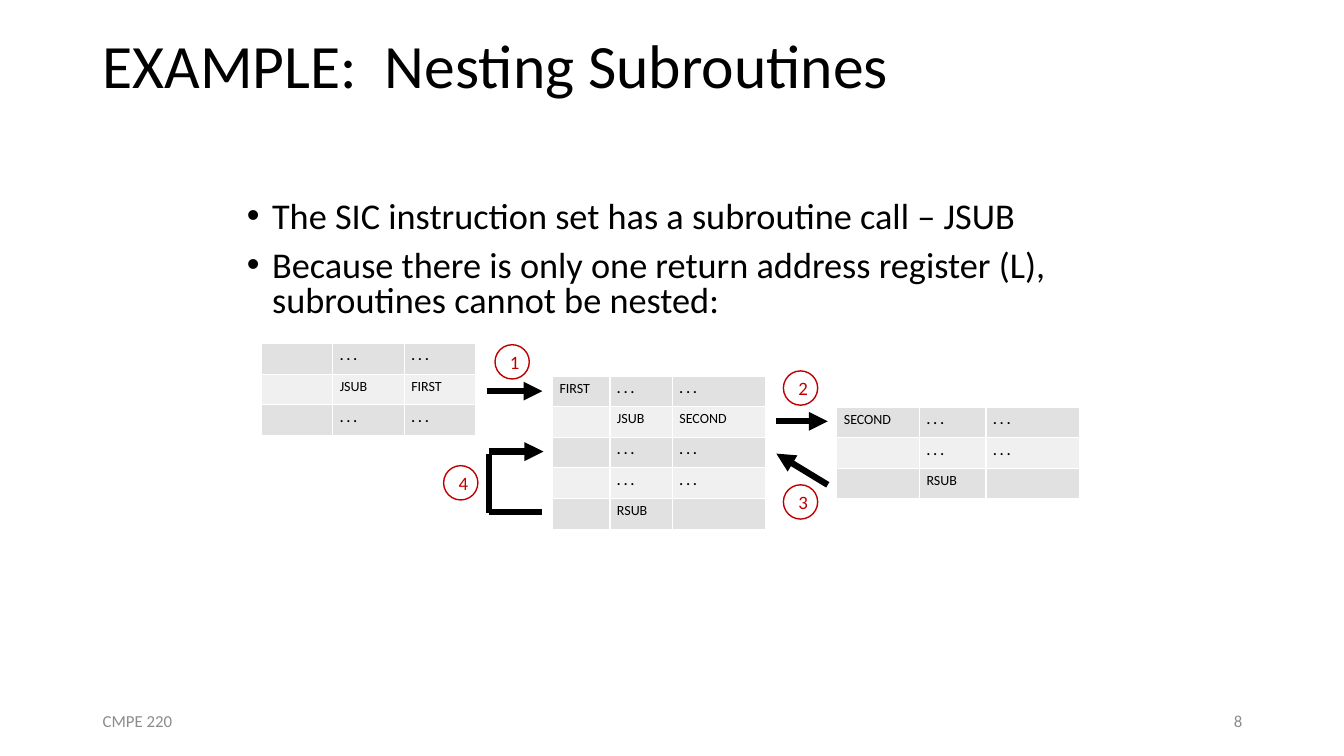
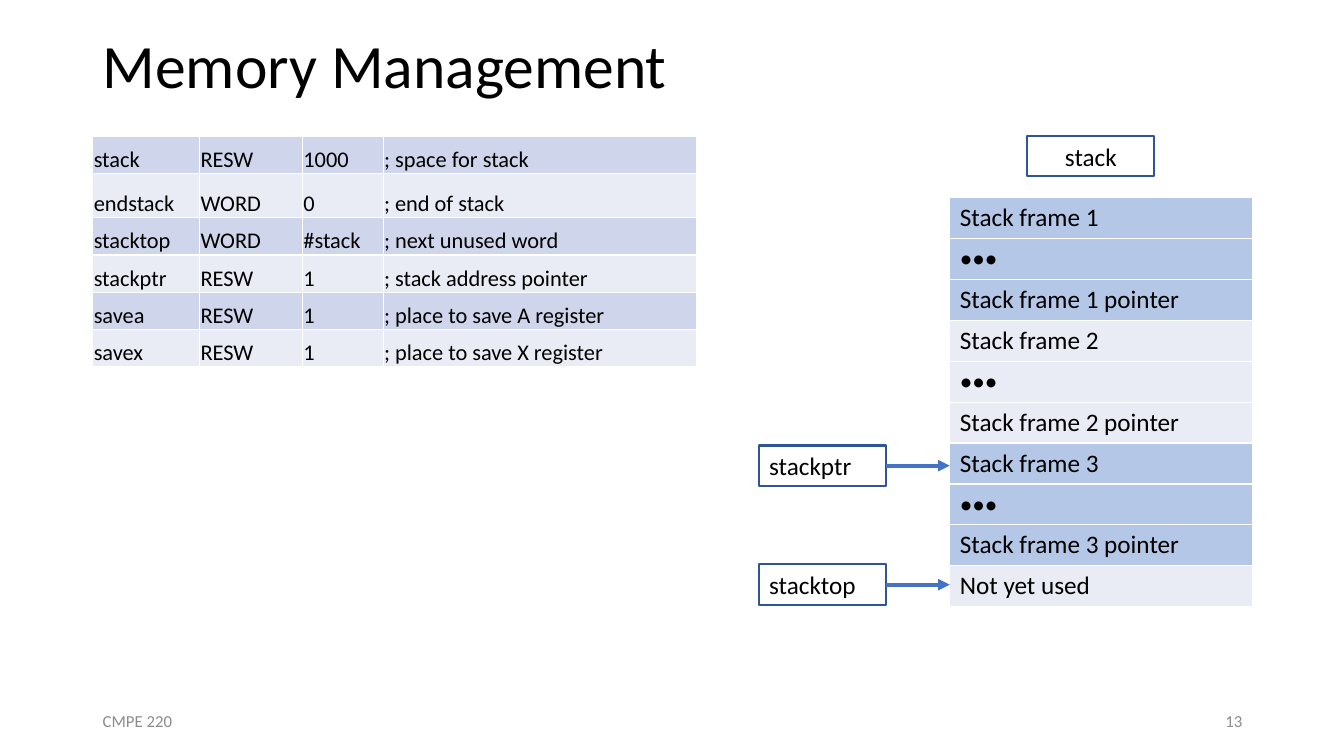
from dataclasses import dataclass
from typing import Any, NamedTuple, Optional

from lxml import etree
from pptx import Presentation
from pptx.dml.color import RGBColor
from pptx.enum.shapes import MSO_CONNECTOR, MSO_SHAPE
from pptx.enum.text import MSO_ANCHOR, PP_ALIGN
from pptx.oxml.ns import qn
from pptx.shapes.autoshape import Shape
from pptx.slide import Slide
from pptx.text.text import TextFrame
from pptx.util import Pt

EMU_PER_PX = 9144
SLIDE_WIDTH, SLIDE_HEIGHT = 1333, 750

STRAIGHT = MSO_CONNECTOR.STRAIGHT
ELLIPSE, RECTANGLE = MSO_SHAPE.OVAL, MSO_SHAPE.RECTANGLE
TOP, MIDDLE, BOTTOM = MSO_ANCHOR.TOP, MSO_ANCHOR.MIDDLE, MSO_ANCHOR.BOTTOM
LEFT, CENTER, RIGHT = PP_ALIGN.LEFT, PP_ALIGN.CENTER, PP_ALIGN.RIGHT
RIGHT_SIDE = 3

BLACK = RGBColor(0x00, 0x00, 0x00)
FOOTER_GRAY = RGBColor(0x8C, 0x8C, 0x8C)
STEP_RED = RGBColor(0xC0, 0x00, 0x00)
LABEL_BLUE = RGBColor(0x2F, 0x55, 0x97)
POINTER_BLUE = RGBColor(0x44, 0x72, 0xC4)
GRAY_BANDS = (RGBColor(0xE1, 0xE1, 0xE1), RGBColor(0xF0, 0xF0, 0xF0))
PALE_BLUE = RGBColor(0xE9, 0xEB, 0xF5)
DECLARATION_BANDS = (RGBColor(0xCF, 0xD5, 0xEA), PALE_BLUE)
FRAME_BANDS = (RGBColor(0xB4, 0xC7, 0xE7), PALE_BLUE)

DOTS = ". . ."
MARGINS = ("margin_left", "margin_top", "margin_right", "margin_bottom")


class Box(NamedTuple):
    left: int
    top: int
    width: int
    height: int


class TextStyle(NamedTuple):
    size: float
    color: RGBColor = BLACK
    align: PP_ALIGN = LEFT
    anchor: MSO_ANCHOR = TOP
    line_spacing: Optional[float] = None


@dataclass(frozen=True)
class Grid:
    left: int
    top: int
    height: int
    columns: tuple[int, ...]
    rows: tuple[tuple[str, ...], ...]
    bands: tuple[RGBColor, RGBColor]
    style: TextStyle
    insets: tuple[int, int, int, int]
    band_size: int = 1
    row_heights: tuple[int, ...] = ()


class Line(NamedTuple):
    x1: int
    y1: int
    x2: int
    y2: int
    arrow: bool = True


class Step(NamedTuple):
    number: str
    left: int
    top: int


class Label(NamedTuple):
    text: str
    left: int
    top: int
    align: PP_ALIGN = LEFT
    points_to: Optional[int] = None


TITLE = TextStyle(44, anchor=MIDDLE, line_spacing=0.9)
BODY = TextStyle(25.9, line_spacing=0.8)
COURSE = TextStyle(12, FOOTER_GRAY, anchor=MIDDLE)
PAGE = COURSE._replace(align=RIGHT)
STEP = TextStyle(13.5, STEP_RED, CENTER, MIDDLE)
CODE = TextStyle(10)
DECLARATION = TextStyle(16, anchor=BOTTOM)
STACK = TextStyle(18)

CODE_INSETS = (7, 4, 7, 4)
STACK_LEFT = 942

BULLETS = (
    "The SIC instruction set has a subroutine call – JSUB",
    "Because there is only one return address register (L), "
    "subroutines cannot be nested:",
)

ROUTINES = (
    Grid(259, 341, 91, (71, 71, 71), (
        ("", DOTS, DOTS),
        ("", "JSUB", "FIRST"),
        ("", DOTS, DOTS),
    ), GRAY_BANDS, CODE, CODE_INSETS),
    Grid(548, 373, 152, (57, 62, 92), (
        ("FIRST", DOTS, DOTS),
        ("", "JSUB", "SECOND"),
        ("", DOTS, DOTS),
        ("", DOTS, DOTS),
        ("", "RSUB", ""),
    ), GRAY_BANDS, CODE, CODE_INSETS),
    Grid(830, 404, 91, (82, 66, 93), (
        ("SECOND", DOTS, DOTS),
        ("", DOTS, DOTS),
        ("", "RSUB", ""),
    ), GRAY_BANDS, CODE, CODE_INSETS),
)

CALL_LINES = (
    Line(483, 388, 538, 388),
    Line(770, 418, 821, 418),
    Line(821, 481, 770, 450),
    Line(485, 448, 539, 448),
    Line(485, 508, 538, 508, arrow=False),
    Line(485, 450, 485, 509, arrow=False),
)

STEPS = (
    Step("1", 491, 342),
    Step("2", 777, 368),
    Step("3", 777, 481),
    Step("4", 440, 462),
)

DECLARATIONS = Grid(92, 135, 229, (106, 102, 80, 311), (
    ("stack", "RESW", "1000", "; space for stack"),
    ("endstack", "WORD", "0", "; end of stack"),
    ("stacktop", "WORD", "#stack", "; next unused word"),
    ("stackptr", "RESW", "1", "; stack address pointer"),
    ("savea", "RESW", "1", "; place to save A register"),
    ("savex", "RESW", "1", "; place to save X register"),
), DECLARATION_BANDS, DECLARATION, (1, 1, 1, 0), row_heights=(37, 44, 37, 37, 37, 37))

FRAME_ROWS = tuple(
    (text,)
    for frame in (1, 2, 3)
    for text in (f"Stack frame {frame}", "•••", f"Stack frame {frame} pointer")
)
STACK_FRAMES = Grid(STACK_LEFT, 196, 406, (300,), FRAME_ROWS + (("Not yet used",),),
                    FRAME_BANDS, STACK, (10, 5, 10, 5), band_size=3)

LABELS = (
    Label("stack", 1019, 135, CENTER),
    Label("stackptr", 753, 442, points_to=STACK_LEFT),
    Label("stacktop", 753, 560, points_to=STACK_LEFT),
)


def px(length: float) -> int:
    return round(length * EMU_PER_PX)


def apply(target: Any, values: dict[str, Any]) -> None:
    for name, value in values.items():
        setattr(target, name, value)


def write(frame: TextFrame, texts: tuple[str, ...], style: TextStyle,
          bold: bool = False, bulleted: bool = False) -> None:
    for index, text in enumerate(texts):
        paragraph = frame.add_paragraph() if index else frame.paragraphs[0]
        if bulleted:
            properties = paragraph._p.get_or_add_pPr()
            properties.set("marL", str(px(25)))
            properties.set("indent", str(px(-25)))
            etree.SubElement(properties, qn("a:buFont"), typeface="Arial")
            etree.SubElement(properties, qn("a:buChar"), char="•")
        apply(paragraph, {"alignment": style.align, "line_spacing": style.line_spacing})
        if index:
            paragraph.space_before = Pt(10)
        if text:
            run = paragraph.add_run()
            run.text = text
            apply(run.font, {"name": "Calibri", "size": Pt(style.size), "bold": bold})
            run.font.color.rgb = style.color
        else:
            etree.SubElement(paragraph._p, qn("a:endParaRPr"), sz=str(round(style.size * 100)))


def add_text(slide: Slide, box: Box, texts: tuple[str, ...], style: TextStyle,
             bulleted: bool = False) -> None:
    frame = slide.shapes.add_textbox(*map(px, box)).text_frame
    apply(frame, {"word_wrap": True, "vertical_anchor": style.anchor})
    write(frame, texts, style, bulleted=bulleted)


def add_outlined(slide: Slide, kind: MSO_SHAPE, box: Box, text: str, style: TextStyle,
                 outline: RGBColor, weight: float) -> Shape:
    shape = slide.shapes.add_shape(kind, *map(px, box))
    shape.shadow.inherit = False
    shape.fill.background()
    shape.line.color.rgb = outline
    shape.line.width = Pt(weight)
    shape.text_frame.vertical_anchor = style.anchor
    write(shape.text_frame, (text,), style)
    return shape


def add_line(slide: Slide, line: Line, color: RGBColor, weight: float,
             origin: Optional[Shape] = None) -> None:
    connector = slide.shapes.add_connector(STRAIGHT, *map(px, line[:4]))
    if origin is not None:
        connector.begin_connect(origin, RIGHT_SIDE)
    connector.line.color.rgb = color
    connector.line.width = Pt(weight)
    properties = connector._element.spPr
    if line.arrow:
        etree.SubElement(properties.find(qn("a:ln")), qn("a:tailEnd"), type="triangle")
    etree.SubElement(properties, qn("a:effectLst"))


def add_grid(slide: Slide, grid: Grid) -> None:
    count = len(grid.rows)
    heights = grid.row_heights or (grid.height / count,) * count
    box = Box(grid.left, grid.top, sum(grid.columns), grid.height)
    table = slide.shapes.add_table(count, len(grid.columns), *map(px, box)).table
    apply(table, {"first_row": False, "horz_banding": False})
    for column, width in zip(table.columns, grid.columns):
        column.width = px(width)
    margins = dict(zip(MARGINS, map(px, grid.insets)))
    for index, (row, height, texts) in enumerate(zip(table.rows, heights, grid.rows)):
        row.height = px(height)
        for cell, text in zip(row.cells, texts):
            apply(cell, {**margins, "vertical_anchor": grid.style.anchor})
            cell.fill.solid()
            cell.fill.fore_color.rgb = grid.bands[index // grid.band_size % 2]
            write(cell.text_frame, (text,), grid.style, bold=text == DOTS)


def add_slide(deck: Any, title: str, page: int) -> Slide:
    slide = deck.slides.add_slide(deck.slide_layouts[6])
    add_text(slide, Box(92, 0, 1150, 135), (title,), TITLE)
    add_text(slide, Box(92, 695, 300, 40), ("CMPE 220",), COURSE)
    add_text(slide, Box(942, 695, 300, 40), (str(page),), PAGE)
    return slide


def build_nesting(deck: Any) -> None:
    slide = add_slide(deck, "EXAMPLE:  Nesting Subroutines", 8)
    add_text(slide, Box(235, 195, 862, 132), BULLETS, BODY, bulleted=True)
    for routine in ROUTINES:
        add_grid(slide, routine)
    for line in CALL_LINES:
        add_line(slide, line, BLACK, 4.5)
    for step in STEPS:
        add_outlined(slide, ELLIPSE, Box(step.left, step.top, 34, 34),
                     step.number, STEP, STEP_RED, 1)


def build_memory(deck: Any) -> None:
    slide = add_slide(deck, "Memory Management", 13)
    add_grid(slide, DECLARATIONS)
    add_grid(slide, STACK_FRAMES)
    for label in LABELS:
        box = Box(label.left, label.top, 126, 40)
        shape = add_outlined(slide, RECTANGLE, box, label.text,
                             STACK._replace(align=label.align), LABEL_BLUE, 1.5)
        if label.points_to is not None:
            middle = box.top + box.height // 2
            pointer = Line(box.left + box.width, middle, label.points_to, middle)
            add_line(slide, pointer, POINTER_BLUE, 2.75, shape)


def main() -> None:
    deck = Presentation()
    apply(deck, {"slide_width": px(SLIDE_WIDTH), "slide_height": px(SLIDE_HEIGHT)})
    build_nesting(deck)
    build_memory(deck)
    deck.save("out.pptx")


if __name__ == "__main__":
    main()
